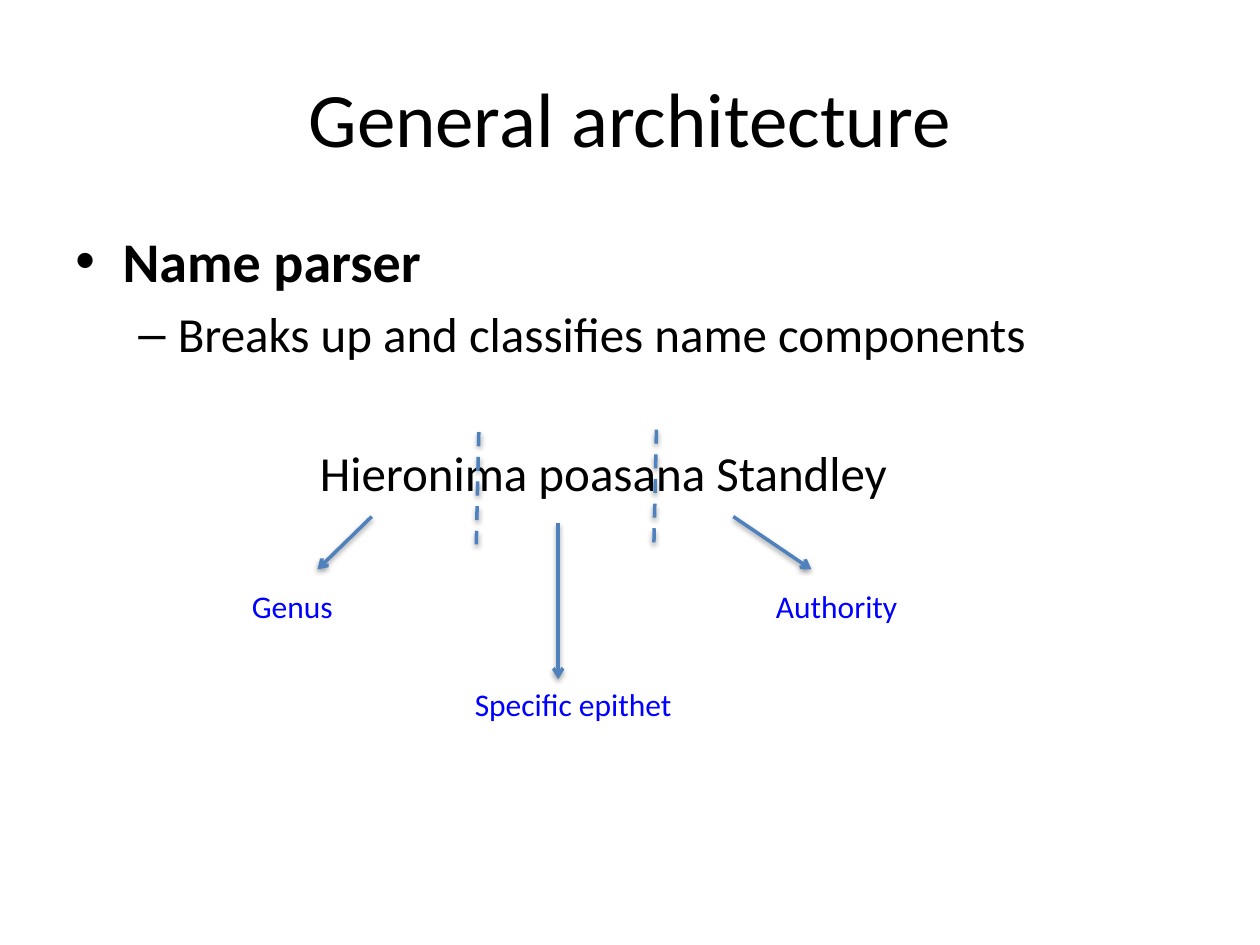
from pptx import Presentation, util as u
from pptx.dml.color import RGBColor
from pptx.enum import dml, shapes, text
from pptx.oxml import parse_xml
from pptx.oxml.ns import nsdecls

THEME = {
    "font": "Calibri", "ink": "000000", "label": "0000FF", "line": "4F81BD",
    "title": 44, "head": 32, "body": 28, "small": 18, "stroke": 2,
}

prs = Presentation()
prs.slide_width, prs.slide_height = u.Inches(10), u.Inches(7.5)
col, row = prs.slide_width / 100, prs.slide_height / 75
s = prs.slides.add_slide(prs.slide_layouts[5])


def grid(x, y):
    return round(x * col), round(y * row)


def write(tf, words, size, color="ink", bold=False, align=text.PP_ALIGN.LEFT,
          before=0, left=0, hang=0, bullet=None):
    p = tf.paragraphs[0] if not tf.text else tf.add_paragraph()
    p.alignment, p.space_before = align, u.Pt(before)
    pPr = p._p.get_or_add_pPr()
    pPr.set("marL", str(round(left * col)))
    pPr.set("indent", str(round(-hang * col)))
    if bullet:
        pPr.append(parse_xml(f'<a:buFont {nsdecls("a")} typeface="Arial"/>'))
        pPr.append(parse_xml(f'<a:buChar {nsdecls("a")} char="{bullet}"/>'))
    r = p.add_run()
    r.text = words
    r.font.name, r.font.size, r.font.bold = THEME["font"], u.Pt(THEME[size]), bold
    r.font.color.rgb = RGBColor.from_string(THEME[color])


title = s.shapes.title
title.left, title.top = grid(5, 3)
title.width, title.height = grid(90, 12.5)
title.text_frame.vertical_anchor = text.MSO_ANCHOR.MIDDLE
write(title.text_frame, "General architecture", "title", align=text.PP_ALIGN.CENTER)

tf = s.shapes.add_textbox(*grid(5, 17.5), *grid(90, 23.5)).text_frame
tf.word_wrap = True
write(tf, "Name parser", "head", bold=True, before=6.4, left=3.75, hang=3.75, bullet="•")
write(tf, "Breaks up and classifies name components", "body",
      before=5.6, left=8.13, hang=3.13, bullet="–")
write(tf, "Hieronima poasana Standley", "body", before=45.4, left=19.4)

lines = [
    ((38, 34.3), (37.8, 43.2), True),
    ((52.1, 34.1), (51.9, 43.1), True),
    ((29.5, 41), (25.2, 45.2), False),
    ((44.3, 41.5), (44.3, 53.9), False),
    ((58.2, 41), (64.4, 45.2), False),
]
for start, end, divider in lines:
    sp = s.shapes.add_connector(shapes.MSO_CONNECTOR.STRAIGHT, *grid(*start), *grid(*end))
    sp.line.color.rgb = RGBColor.from_string(THEME["line"])
    sp.line.width = u.Pt(THEME["stroke"])
    if divider:
        sp.line.dash_style = dml.MSO_LINE.DASH
    else:
        sp.line._get_or_add_ln().append(
            parse_xml(f'<a:tailEnd {nsdecls("a")} type="arrow"/>'))
    sp._element.spPr.append(parse_xml(
        f'<a:effectLst {nsdecls("a")}>'
        '<a:outerShdw blurRad="40000" dist="20000" dir="5400000" rotWithShape="0">'
        '<a:srgbClr val="000000"><a:alpha val="38000"/></a:srgbClr>'
        '</a:outerShdw></a:effectLst>'))

labels = [
    ("Specific epithet", 36.7, 53.9, 19),
    ("Genus", 19, 46.1, 10.5),
    ("Authority", 60.6, 46.1, 14.3),
]
for words, x, y, width in labels:
    tf = s.shapes.add_textbox(*grid(x, y), *grid(width, 4)).text_frame
    tf.auto_size = text.MSO_AUTO_SIZE.SHAPE_TO_FIT_TEXT
    tf.word_wrap = False
    write(tf, words, "small", color="label")

prs.save("out.pptx")
